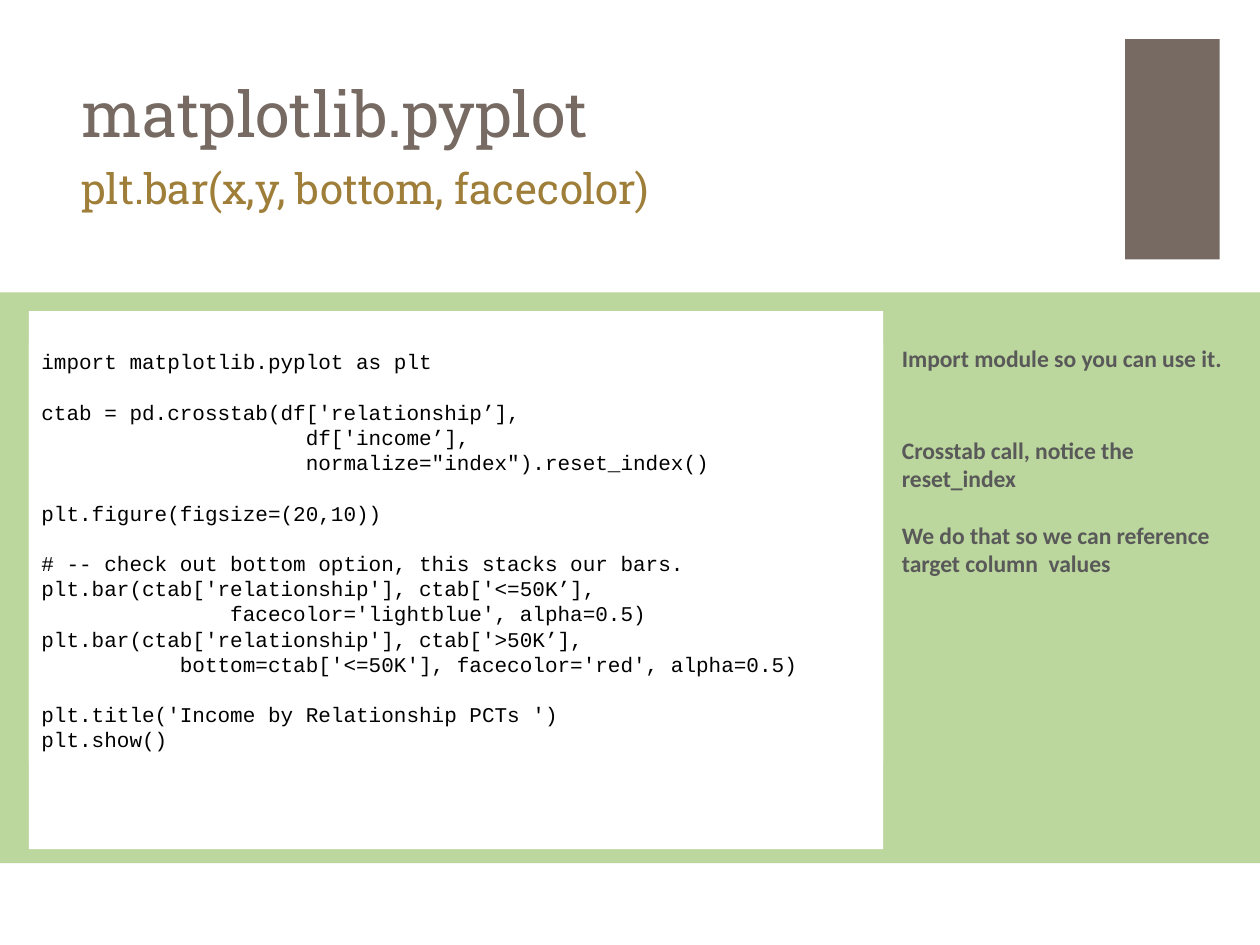
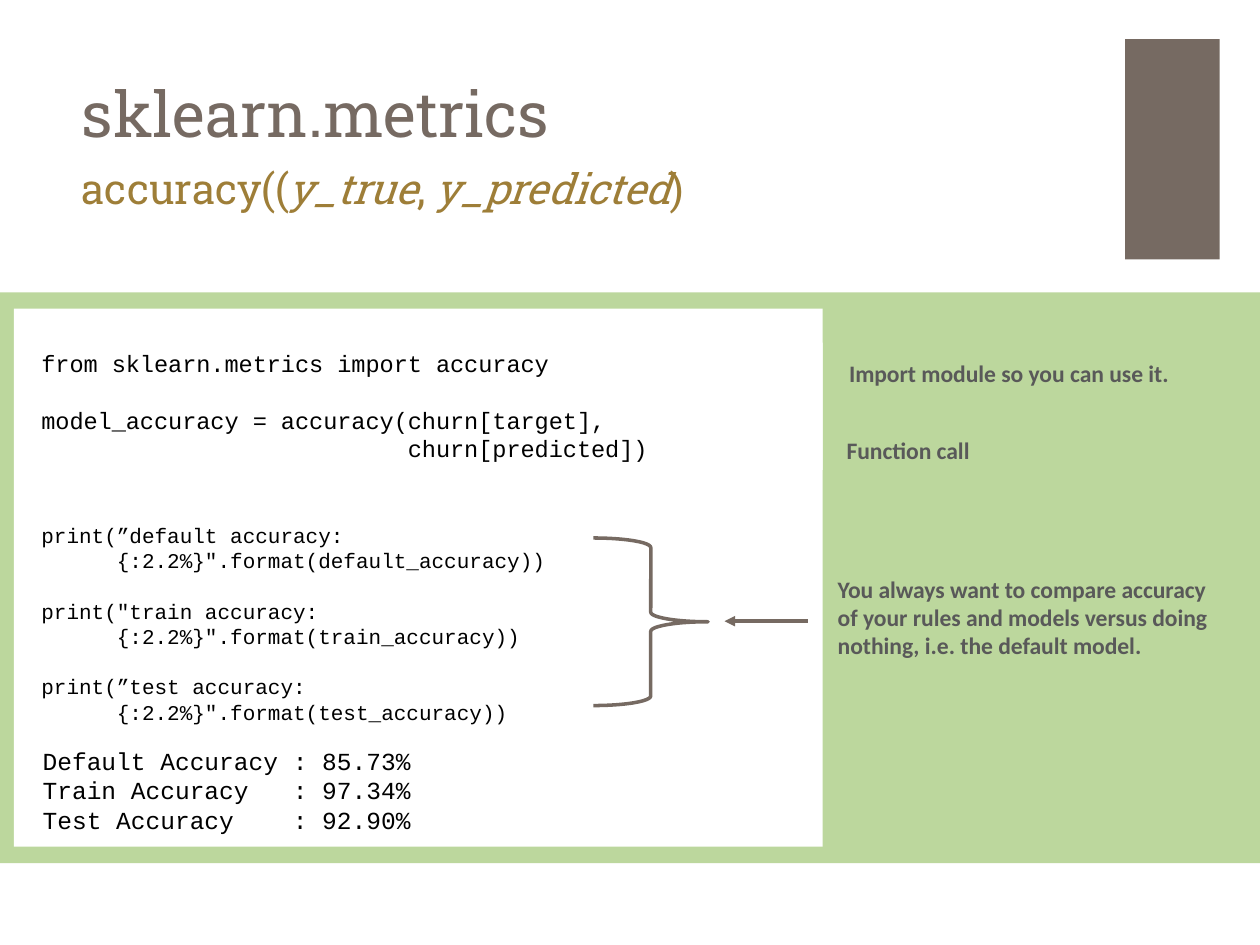
import pptx
import pptx.util
import pptx.dml.color
import pptx.enum.shapes
import pptx.enum.text
import pptx.oxml
import pptx.oxml.ns

Inches = pptx.util.Inches
Kind = pptx.enum.shapes.MSO_SHAPE
Anchor = pptx.enum.text.MSO_ANCHOR

BROWN, GOLD, GREEN = "766A62", "9E7E38", "BCD79D"
WHITE, BLACK, GREY = "FFFFFF", "000000", "595959"
SLAB = dict(font="Roboto Slab")
CODE = dict(font="Courier New", color=BLACK, pitch=1.2)
NOTE = dict(font="Calibri", color=GREY, size=13.5, bold=True, pitch=1.2)

# An empty string in a list of lines is a gap of one line.
PLOT = [
    "import matplotlib.pyplot as plt",
    "",
    "ctab = pd.crosstab(df['relationship’],",
    "                     df['income’],",
    "                     normalize=\"index\").reset_index()",
    "",
    "plt.figure(figsize=(20,10))",
    "",
    "# -- check out bottom option, this stacks our bars.",
    "plt.bar(ctab['relationship'], ctab['<=50K’],",
    "               facecolor='lightblue', alpha=0.5)",
    "plt.bar(ctab['relationship'], ctab['>50K’],",
    "           bottom=ctab['<=50K'], facecolor='red', alpha=0.5)",
    "",
    "plt.title('Income by Relationship PCTs ')",
    "plt.show()",
]
SCORE = [
    "from sklearn.metrics import accuracy",
    "",
    "model_accuracy = accuracy(churn[target],",
    "                          churn[predicted])",
]
PRINT = [
    "print(”default accuracy:",
    "      {:2.2%}\".format(default_accuracy))",
    "",
    "print(\"train accuracy:",
    "      {:2.2%}\".format(train_accuracy))",
    "",
    "print(”test accuracy:",
    "      {:2.2%}\".format(test_accuracy))",
]
RESULT = [
    "Default Accuracy : 85.73%",
    "Train Accuracy   : 97.34%",
    "Test Accuracy    : 92.90%",
]
IMPORT = ["Import module so you can use it."]

# Each text: box (left, top, width, height), lines, format.
SLIDES = [
    dict(
        title="matplotlib.pyplot",
        call=[("plt.bar(x,y, bottom, facecolor)", False)],
        panel=(0.23, 2.47, 6.78, 4.27),
        texts=[
            ((0.23, 2.72, 6.78, 3.33), PLOT, dict(CODE, size=12, fill=WHITE)),
            ((7.06, 2.68, 2.94, 0.56), IMPORT, NOTE),
            ((7.06, 3.41, 2.94, 1.24),
             ["Crosstab call, notice the reset_index", "",
              "We do that so we can reference target column  values"], NOTE),
        ],
    ),
    dict(
        title="sklearn.metrics",
        call=[("accuracy((", False), ("y_true", True), (", ", False),
              ("y_predicted", True), (")", False)],
        panel=(0.11, 2.45, 6.42, 4.27),
        texts=[
            ((0.23, 2.72, 6.3, 1.01), SCORE, dict(CODE, size=13.5, fill=WHITE)),
            ((6.64, 2.8, 3.36, 0.33), IMPORT, NOTE),
            ((6.62, 3.41, 3.38, 0.33), ["Function call"], NOTE),
            ((0.23, 4.1, 6.83, 1.92), PRINT, dict(CODE, size=12)),
            ((0.24, 5.87, 5.42, 0.81), RESULT, dict(CODE, size=14)),
            ((6.55, 4.51, 3.28, 1.01),
             ["You always want to compare accuracy of your rules and models "
              "versus doing nothing, i.e. the default model."], NOTE),
        ],
        brace=(4.71, 4.27, 0.91, 1.33),
        arrow=(6.41, 4.93, 5.75, 4.93),
    ),
]


def rgb(hue):
    return pptx.dml.color.RGBColor.from_string(hue)


def shape(slide, kind, box, fill=None, line=None):
    item = slide.shapes.add_shape(kind, *map(Inches, box))
    item.shadow.inherit = False
    if fill:
        item.fill.solid()
        item.fill.fore_color.rgb = rgb(fill)
    else:
        item.fill.background()
    if line:
        item.line.color.rgb = rgb(line)
        item.line.width = pptx.util.Pt(2)
    else:
        item.line.fill.background()
    return item


def text(slide, box, lines, font, color, size, bold=False, pitch=None,
         fill=None, anchor=Anchor.TOP):
    """Write lines, each a string or a list of (words, italic) runs."""
    if fill:
        item = shape(slide, Kind.RECTANGLE, box, fill)
    else:
        item = slide.shapes.add_textbox(*map(Inches, box))
    frame = item.text_frame
    frame.word_wrap = True
    frame.vertical_anchor = anchor
    gap, first = False, True
    for line in lines:
        if not line:
            gap = True
            continue
        para = frame.paragraphs[0] if first else frame.add_paragraph()
        para.alignment = pptx.enum.text.PP_ALIGN.LEFT
        if pitch:
            para.line_spacing = pptx.util.Pt(size * pitch)
            if gap:
                para.space_before = pptx.util.Pt(size * pitch)
        for words, slant in [(line, False)] if isinstance(line, str) else line:
            run = para.add_run()
            run.text = words
            run.font.name = font
            run.font.size = pptx.util.Pt(size)
            run.font.bold = bold
            run.font.italic = slant
            run.font.color.rgb = rgb(color)
        gap, first = False, False


def arrow(slide, ends):
    item = slide.shapes.add_connector(
        pptx.enum.shapes.MSO_CONNECTOR.STRAIGHT, *map(Inches, ends))
    item.line.color.rgb = rgb(BROWN)
    item.line.width = pptx.util.Pt(2)
    head = pptx.oxml.parse_xml(
        f'<a:tailEnd {pptx.oxml.ns.nsdecls("a")} type="triangle"/>')
    item.line._get_or_add_ln().append(head)
    item._element.spPr.append(pptx.oxml.parse_xml(
        f'<a:effectLst {pptx.oxml.ns.nsdecls("a")}/>'))


def build(deck, data):
    slide = deck.slides.add_slide(deck.slide_layouts[6])
    shape(slide, Kind.RECTANGLE, (8.93, 0.31, 0.75, 1.75), BROWN)
    shape(slide, Kind.RECTANGLE, (0, 2.32, 10, 4.53), GREEN)
    shape(slide, Kind.RECTANGLE, data["panel"], WHITE)
    text(slide, (0.55, 0.15, 8.26, 1.09), [data["title"]], color=BROWN,
         size=36, anchor=Anchor.BOTTOM, **SLAB)
    text(slide, (0.55, 1.24, 8.27, 0.85), [data["call"]], color=GOLD,
         size=24, **SLAB)
    for box, lines, form in data["texts"]:
        text(slide, box, lines, **form)
    if "brace" in data:
        shape(slide, Kind.RIGHT_BRACE, data["brace"], line=BROWN)
        arrow(slide, data["arrow"])


def main():
    deck = pptx.Presentation()
    deck.slide_width, deck.slide_height = Inches(10), Inches(7.5)
    for data in SLIDES:
        build(deck, data)
    deck.save("out.pptx")


if __name__ == "__main__":
    main()
